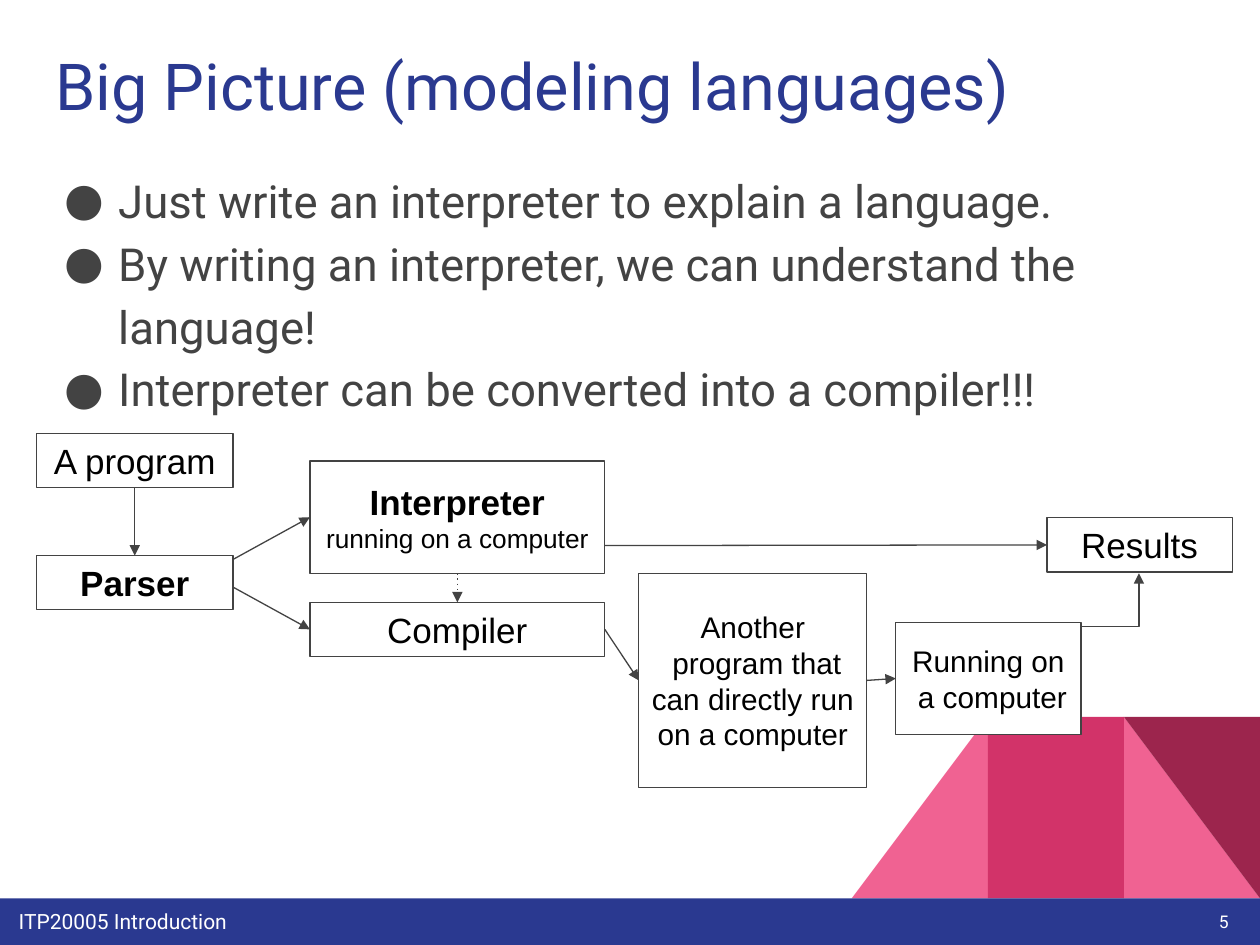
import pptx
import pptx.dml.color
import pptx.enum.shapes
import pptx.enum.text
import pptx.oxml
import pptx.oxml.ns
import pptx.util

Inches = pptx.util.Inches
RGBColor = pptx.dml.color.RGBColor
SHAPE = pptx.enum.shapes.MSO_SHAPE
CONNECTOR = pptx.enum.shapes.MSO_CONNECTOR
ALIGN = pptx.enum.text.PP_ALIGN
ANCHOR = pptx.enum.text.MSO_ANCHOR

NAVY = RGBColor(0x2A, 0x39, 0x90)
PINK = RGBColor(0xF0, 0x62, 0x92)
CRIMSON = RGBColor(0xD2, 0x33, 0x69)
MAROON = RGBColor(0x9C, 0x25, 0x4D)
GRAY = RGBColor(0x43, 0x43, 0x43)
WHITE = RGBColor(0xFF, 0xFF, 0xFF)
BLACK = RGBColor(0x00, 0x00, 0x00)

TOP, LEFT, BOTTOM, RIGHT = range(4)


def set_all(target, values):
    for name, value in values.items():
        setattr(target, name, value)


def set_frame(frame, anchor=ANCHOR.TOP):
    margins = {f"margin_{side}": Inches(0.1) for side in ("left", "top", "right", "bottom")}
    set_all(frame, {"word_wrap": True, "vertical_anchor": anchor,
                    "auto_size": pptx.enum.text.MSO_AUTO_SIZE.NONE, **margins})


def add_span(para, text, size, color, font="Arial", bold=False):
    for index, line in enumerate(text.split("\n")):
        if index:
            para.add_line_break()
        span = para.add_run()
        span.text = line
        set_all(span.font, {"name": font, "size": pptx.util.Pt(size), "bold": bold})
        span.font.color.rgb = color


def add_text(page, box, text, size, color, align=ALIGN.LEFT, anchor=ANCHOR.TOP):
    label = page.shapes.add_textbox(*map(Inches, box))
    set_frame(label.text_frame, anchor)
    para = label.text_frame.paragraphs[0]
    para.alignment = align
    add_span(para, text, size, color, "Roboto")


def add_block(page, kind, box, color):
    block = page.shapes.add_shape(kind, *map(Inches, box))
    block.shadow.inherit = False
    block.fill.solid()
    block.fill.fore_color.rgb = color
    block.line.fill.background()
    return block


def draw_corner(page, box):
    left, top, width, height = box
    part = width / 3
    cells = [(left + part * column, top, part, height) for column in range(3)]
    add_block(page, SHAPE.RIGHT_TRIANGLE, cells[2], PINK)
    slope = add_block(page, SHAPE.RIGHT_TRIANGLE, cells[0], PINK)
    slope._element.spPr.xfrm.set("flipH", "1")
    add_block(page, SHAPE.RECTANGLE, cells[1], CRIMSON)
    add_block(page, SHAPE.RIGHT_TRIANGLE, cells[2], MAROON).rotation = 180


def draw_footer(page, box):
    left, top, width, height = box
    add_block(page, SHAPE.RECTANGLE, box, NAVY)
    add_text(page, (left + 0.05, top - 0.02, 7.35, 0.36), "ITP20005 Introduction", 12, WHITE)
    add_text(page, (left + width - 0.75, top - 0.1, 0.6, 0.57), "5", 10, WHITE,
             ALIGN.RIGHT, ANCHOR.MIDDLE)


def draw_title(page, box, text):
    title = page.shapes.title
    set_all(title, dict(zip(("left", "top", "width", "height"), map(Inches, box))))
    set_frame(title.text_frame)
    para = title.text_frame.paragraphs[0]
    para.alignment = ALIGN.LEFT
    add_span(para, text, 37, NAVY, "Roboto")


def draw_bullets(page, box, items):
    frame = page.shapes.add_textbox(*map(Inches, box)).text_frame
    set_frame(frame)
    namespace = pptx.oxml.ns.nsdecls("a")
    for index, item in enumerate(items):
        para = frame.add_paragraph() if index else frame.paragraphs[0]
        para.line_spacing = 1.15
        add_span(para, item, 26, GRAY, "Roboto")
        properties = para._p.get_or_add_pPr()
        properties.set("marL", str(Inches(0.5)))
        properties.set("indent", str(Inches(-0.43)))
        for xml in (f'<a:buClr {namespace}><a:srgbClr val="{GRAY}"/></a:buClr>',
                    f'<a:buFont {namespace} typeface="Roboto"/>',
                    f'<a:buChar {namespace} char="●"/>'):
            properties.append(pptx.oxml.parse_xml(xml))


def add_node(page, box, spans, fill=None):
    node = page.shapes.add_shape(SHAPE.RECTANGLE, *map(Inches, box))
    node.shadow.inherit = False
    node.fill.background()
    if fill is not None:
        node.fill.solid()
        node.fill.fore_color.rgb = fill
    node.line.color.rgb = GRAY
    node.line.width = pptx.util.Pt(0.75)
    set_frame(node.text_frame, ANCHOR.MIDDLE)
    para = node.text_frame.paragraphs[0]
    para.alignment = ALIGN.CENTER
    for text, size, bold in spans:
        add_span(para, text, size, BLACK, bold=bold)
    return node


def add_arrow(page, start, end, kind=CONNECTOR.STRAIGHT, dash=None):
    arrow = page.shapes.add_connector(kind, *map(Inches, (*start, *end)))
    arrow.line.color.rgb = GRAY
    arrow.line.width = pptx.util.Pt(0.75)
    namespace = pptx.oxml.ns.nsdecls("a")
    line = arrow.line._get_or_add_ln()
    if dash:
        line.append(pptx.oxml.parse_xml(f'<a:prstDash {namespace} val="{dash}"/>'))
    line.append(pptx.oxml.parse_xml(f'<a:tailEnd {namespace} type="triangle"/>'))
    arrow._element.spPr.append(pptx.oxml.parse_xml(f"<a:effectLst {namespace}/>"))
    return arrow


def draw_flow(page, box):
    left, top = box[:2]

    def place(x, y, width, height):
        return left + x, top + y, width, height

    interpreter = add_node(page, place(2.17, 0.22, 2.34, 0.89),
                           [("Interpreter ", 20, True), ("running on a computer", 15, False)])
    compiler = add_node(page, place(2.17, 1.34, 2.34, 0.43), [("Compiler", 20, False)])
    program = add_node(page, place(0, 0, 1.56, 0.43), [("A program", 20, False)])
    output = add_node(page, place(4.78, 1.11, 1.81, 1.7),
                      [("Another\n program that can directly run on a computer", 17, False)])
    machine = add_node(page, place(6.82, 1.5, 1.47, 0.89),
                       [("Running on\n a computer", 17, False)], WHITE)
    results = add_node(page, place(8.02, 0.67, 1.47, 0.43), [("Results", 20, False)])
    parser = add_node(page, place(0, 0.97, 1.56, 0.43), [("Parser", 20, True)])

    for source, start_side, target, end_side, dash in (
            (program, BOTTOM, parser, TOP, None),
            (interpreter, BOTTOM, compiler, TOP, "dot"),
            (compiler, RIGHT, output, LEFT, None),
            (output, RIGHT, machine, LEFT, None)):
        arrow = add_arrow(page, (left, top), (left, top), dash=dash)
        arrow.begin_connect(source, start_side)
        arrow.end_connect(target, end_side)

    for x, y, target in ((1.56, 1.0, interpreter), (1.56, 1.22, compiler),
                         (4.51, 0.89, results)):
        start = left + x, top + y
        add_arrow(page, start, start).end_connect(target, LEFT)

    elbow = add_arrow(page, (left + 8.1, top + 1.3), (left + 8.94, top + 1.76), CONNECTOR.ELBOW)
    elbow._element.spPr.xfrm.set("rot", str(270 * 60000))


def main():
    deck = pptx.Presentation()
    deck.slide_width, deck.slide_height = Inches(10), Inches(7.5)
    page = deck.slides.add_slide(deck.slide_layouts[5])
    draw_corner(page, (6.76, 5.69, 3.24, 1.44))
    draw_footer(page, (0, 7.13, 10, 0.37))
    draw_title(page, (0.34, 0.26, 9.32, 0.89), "Big Picture (modeling languages)")
    draw_bullets(page, (0.34, 1.21, 9.66, 4.87), (
        "Just write an interpreter to explain a language.",
        "By writing an interpreter, we can understand the language!",
        "Interpreter can be converted into a compiler!!!"))
    draw_flow(page, (0.29, 3.44, 9.49, 2.81))
    deck.save("out.pptx")


if __name__ == "__main__":
    main()
